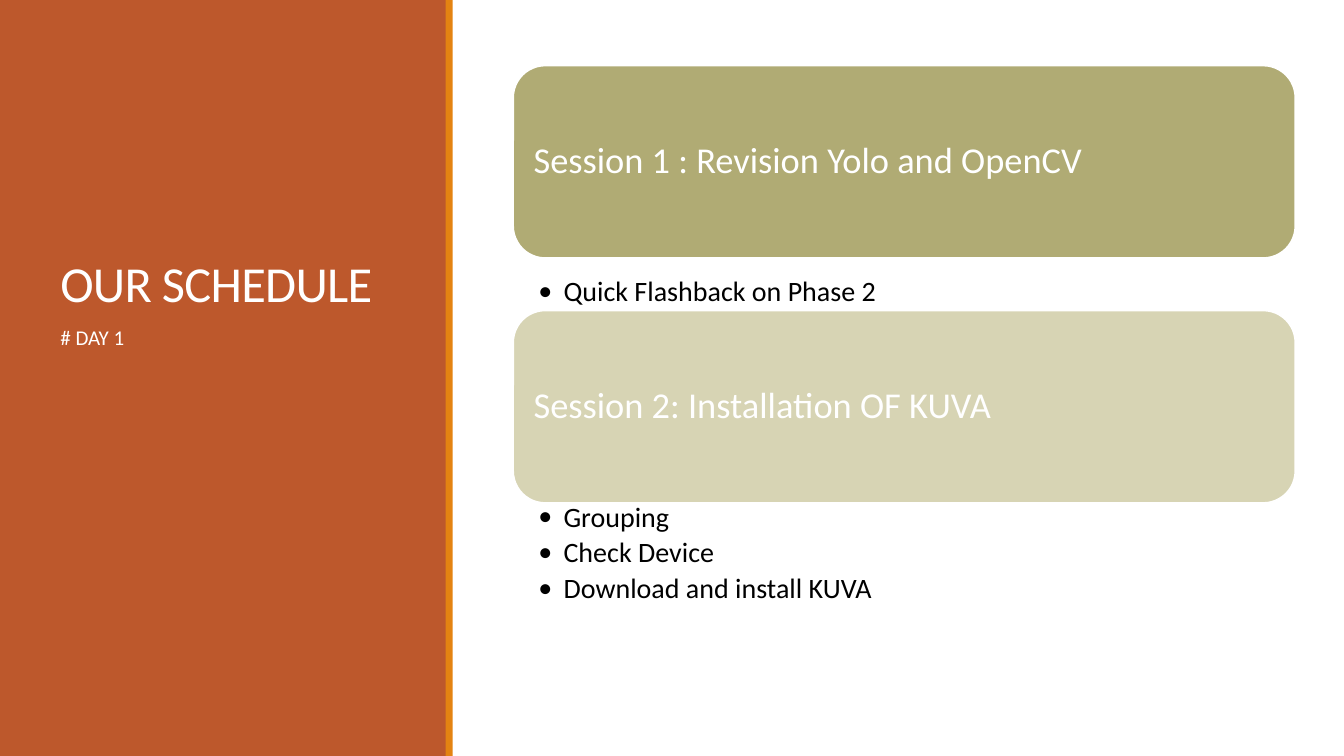
from pptx import Presentation
from pptx.dml.color import RGBColor
from pptx.enum.shapes import MSO_SHAPE
from pptx.enum.text import MSO_ANCHOR, PP_ALIGN
from pptx.oxml.ns import qn
from pptx.util import Inches, Pt
from lxml.etree import SubElement

WHITE, BLACK = "FFFFFF", "000000"
RUST, ORANGE = "BD582C", "E48312"
SESSIONS = [
    ("Session 1 : Revision Yolo and OpenCV", "B0AB74", 8.67,
     ["Quick Flashback on Phase 2"], 36.13, 5.2),
    ("Session 2: Installation OF KUVA", "D7D4B4", 41.07,
     ["Grouping", "Check Device", "Download and install KUVA"], 66, 25.87),
]


def color(code):
    return RGBColor.from_string(code)


def write(frame, lines, size, ink=WHITE, anchor=MSO_ANCHOR.TOP, inset=(0.1, 0.05, 0.1, 0.05),
          lead=0.9, after=0, bullet=False, track=0):
    """Fill a frame with one paragraph per line; inset is in inches, the rest in points."""
    frame.word_wrap = True
    frame.vertical_anchor = anchor
    (frame.margin_left, frame.margin_top,
     frame.margin_right, frame.margin_bottom) = map(Inches, inset)
    for i, line in enumerate(lines):
        par = frame.add_paragraph() if i else frame.paragraphs[0]
        par.alignment = PP_ALIGN.LEFT
        par.line_spacing = lead
        par.space_after = Pt(after)
        if bullet:
            props = par._p.get_or_add_pPr()
            props.set("marL", str(Inches(0.25)))
            props.set("indent", str(-Inches(0.25)))
            SubElement(props, qn("a:buFont")).set("typeface", "Calibri")
            SubElement(props, qn("a:buChar")).set("char", "•")
        run = par.add_run()
        run.text = line
        run.font.name = "Calibri"
        run.font.size = Pt(size)
        run.font.color.rgb = color(ink)
        if track:
            run._r.get_or_add_rPr().set("spc", str(round(track * 100)))


class Page:
    """One slide; boxes are left, top, width, height in percent of its size."""

    def __init__(self):
        self.deck = Presentation()
        self.deck.slide_width, self.deck.slide_height = Inches(13.33), Inches(7.5)
        self.slide = self.deck.slides.add_slide(self.deck.slide_layouts[6])

    def place(self, box):
        wide, high = self.deck.slide_width, self.deck.slide_height
        return [round(part * full / 100) for part, full in zip(box, (wide, high) * 2)]

    def shape(self, box, fill, kind=MSO_SHAPE.RECTANGLE, line=None):
        shape = self.slide.shapes.add_shape(kind, *self.place(box))
        shape.shadow.inherit = False
        shape.fill.solid()
        shape.fill.fore_color.rgb = color(fill)
        if line:
            shape.line.color.rgb = color(line)
            shape.line.width = Pt(1.25)
        else:
            shape.line.fill.background()
        return shape

    def text(self, box, lines, size, **style):
        area = self.slide.shapes.add_textbox(*self.place(box))
        write(area.text_frame, lines, size, **style)

    def card(self, box, label, fill):
        shape = self.shape(box, fill, MSO_SHAPE.ROUNDED_RECTANGLE, WHITE)
        write(shape.text_frame, [label], 26, anchor=MSO_ANCHOR.MIDDLE, inset=[0.11] * 4)

    def bullets(self, box, items):
        self.text(box, items, 20, ink=BLACK, inset=(0.25, 0.04, 0.2, 0.04),
                  after=3.8, bullet=True)


def main():
    page = Page()
    page.shape((0, 0, 33.23, 100), RUST)
    page.shape((33.16, 0, 0.53, 100), ORANGE)
    page.text((3.75, 8.67, 26.26, 33.33), ["OUR SCHEDULE"], 36,
              anchor=MSO_ANCHOR.BOTTOM, lead=0.85, track=-0.5)
    page.text((3.75, 42.67, 26.26, 49.33), ["# DAY 1"], 15, after=2)
    left, width = 38.18, 58.2
    for label, fill, top, items, start, depth in SESSIONS:
        page.card((left, top, width, 25.47), label, fill)
        page.bullets((left, start, width, depth), items)
    page.deck.save("out.pptx")


if __name__ == "__main__":
    main()
